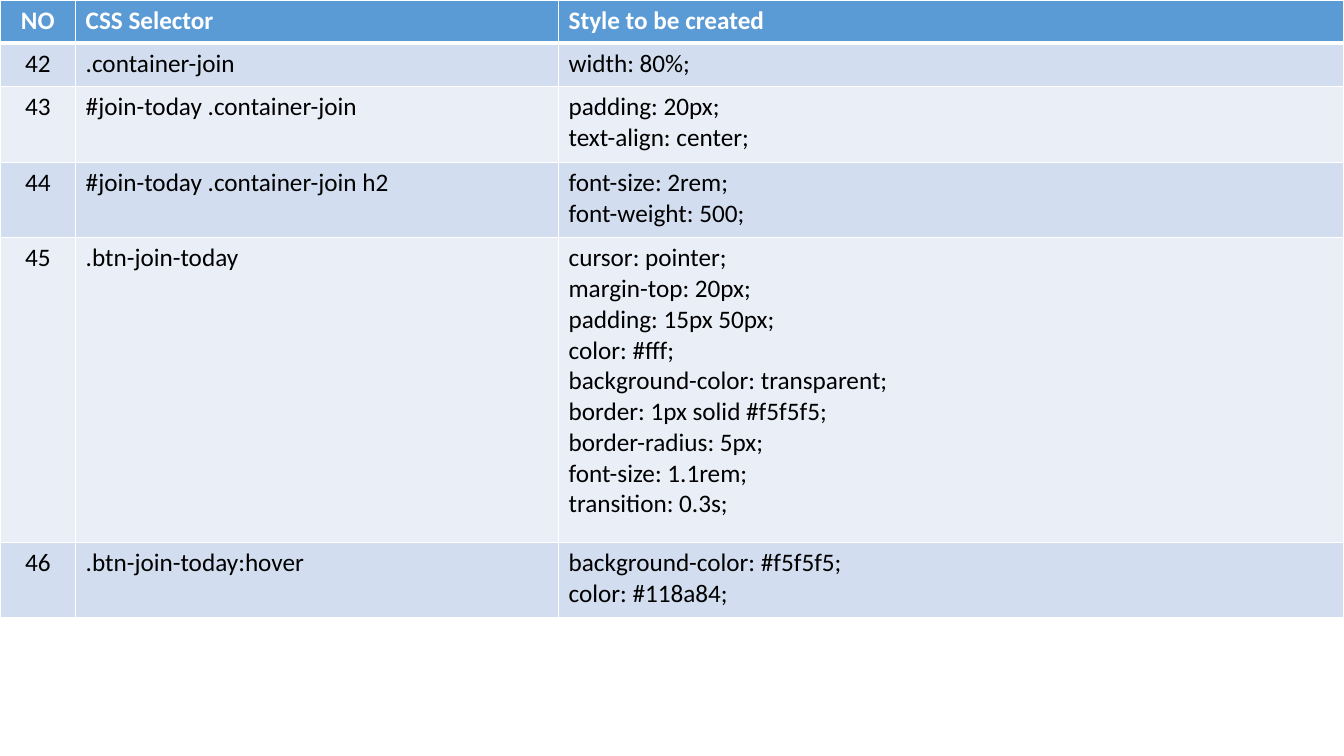
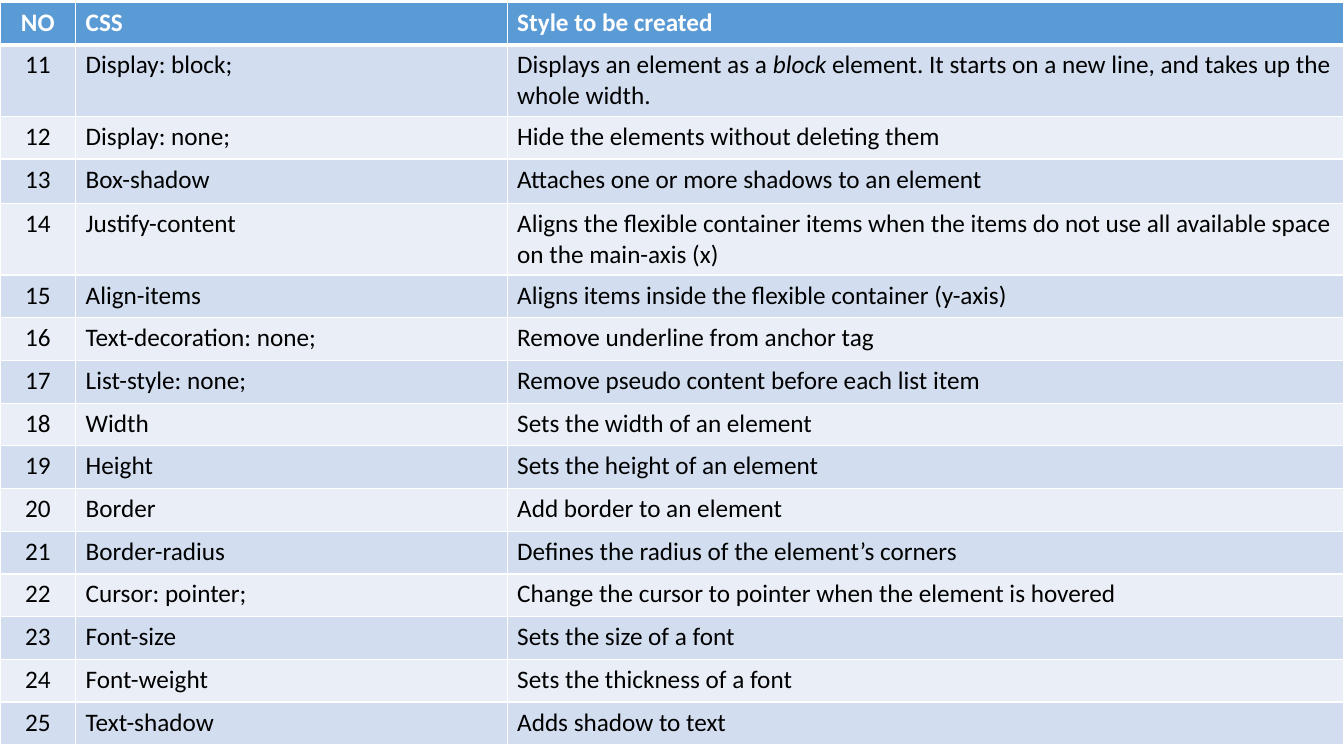
from dataclasses import dataclass

from lxml.etree import SubElement
from pptx import Presentation
from pptx.dml.color import RGBColor as RGB
from pptx.enum.text import PP_ALIGN as ALIGN
from pptx.oxml.ns import qn
from pptx.util import Inches, Pt

COLORS = {
    "header": "5B9BD5",
    "band_dark": "D2DEEF",
    "band_light": "EAEFF7",
    "rule": "FFFFFF",
    "header_text": "FFFFFF",
    "body_text": "000000",
}
FONT = "Calibri"
TEXT_SIZE = 18
THIN, THICK = 1, 3
SLIDE_W, SLIDE_H = 13.33, 7.5
NO_W = 0.75


@dataclass
class Row:
    name: str
    lines: list[str]
    height: float
    italic: str = ""


@dataclass
class Sheet:
    heading: str
    first_no: int
    top: float
    name_w: float
    header_h: float
    rows: list[Row]


LINE_H = 0.43
PAIR_H = 0.75
selectors = Sheet("CSS Selector", 42, 0, 4.79, LINE_H, [
    Row(".container-join", ["width: 80%;"], LINE_H),
    Row("#join-today .container-join", ["padding: 20px;", "text-align: center;"], PAIR_H),
    Row("#join-today .container-join h2", ["font-size: 2rem;", "font-weight: 500;"], PAIR_H),
    Row(".btn-join-today", [
        "cursor: pointer;",
        "margin-top: 20px;",
        "padding: 15px 50px;",
        "color: #fff;",
        "background-color: transparent;",
        "border: 1px solid #f5f5f5;",
        "border-radius: 5px;",
        "font-size: 1.1rem;",
        "transition: 0.3s;",
    ], 3.02),
    Row(".btn-join-today:hover", ["background-color: #f5f5f5;", "color: #118a84;"], PAIR_H),
])

WRAPPED_H = 0.71
SHADOW_H = 0.44
SINGLE_H = (7.37 - SHADOW_H - 2 * WRAPPED_H) / 13
properties = Sheet("CSS", 11, 0.02, 4.28, SINGLE_H, [
    Row("Display: block;", ["Displays an element as a block element. It starts on a new line, "
                            "and takes up the whole width."], WRAPPED_H, italic="block"),
    Row("Display: none;", ["Hide the elements without deleting them"], SINGLE_H),
    Row("Box-shadow", ["Attaches one or more shadows to an element"], SHADOW_H),
    Row("Justify-content", ["Aligns the flexible container items when the items do not use "
                            "all available space on the main-axis (x)"], WRAPPED_H),
    Row("Align-items", ["Aligns items inside the flexible container (y-axis)"], SINGLE_H),
    Row("Text-decoration: none;", ["Remove underline from anchor tag"], SINGLE_H),
    Row("List-style: none;", ["Remove pseudo content before each list item"], SINGLE_H),
    Row("Width", ["Sets the width of an element"], SINGLE_H),
    Row("Height", ["Sets the height of an element"], SINGLE_H),
    Row("Border", ["Add border to an element"], SINGLE_H),
    Row("Border-radius", ["Defines the radius of the element’s corners"], SINGLE_H),
    Row("Cursor: pointer;", ["Change the cursor to pointer when the element is hovered"], SINGLE_H),
    Row("Font-size", ["Sets the size of a font"], SINGLE_H),
    Row("Font-weight", ["Sets the thickness of a font"], SINGLE_H),
    Row("Text-shadow", ["Adds shadow to text"], SINGLE_H),
])


def set_borders(cell, top: int = THIN, bottom: int = THIN) -> None:
    tc_pr = cell._tc.get_or_add_tcPr()
    for side, width in (("L", THIN), ("R", THIN), ("T", top), ("B", bottom)):
        ln = SubElement(tc_pr, qn(f"a:ln{side}"), w=str(Pt(width)))
        fill = SubElement(ln, qn("a:solidFill"))
        SubElement(fill, qn("a:srgbClr"), val=COLORS["rule"])


def write_lines(tf, lines: list[str], *, color: str, bold: bool = False,
                align: ALIGN = ALIGN.LEFT, italic: str = "") -> None:
    for i, line in enumerate(lines):
        p = tf.add_paragraph() if i else tf.paragraphs[0]
        p.alignment = align
        before, match, after = line.partition(italic) if italic else (line, "", "")
        for text in filter(None, (before, match, after)):
            r = p.add_run()
            r.text = text
            r.font.name = FONT
            r.font.size = Pt(TEXT_SIZE)
            r.font.bold = bold
            r.font.italic = bool(match) and text == match
            r.font.color.rgb = RGB.from_string(COLORS[color])


def fill_row(cells, no: str, name: str, lines: list[str], *, fill: str, color: str,
             bold: bool = False, italic: str = "", top: int = THIN, bottom: int = THIN) -> None:
    for col, (cell, content) in enumerate(zip(cells, ([no], [name], lines))):
        set_borders(cell, top, bottom)
        cell.fill.solid()
        cell.fill.fore_color.rgb = RGB.from_string(COLORS[fill])
        write_lines(cell.text_frame, content, color=color, bold=bold, italic=italic if col == 2 else "",
                    align=ALIGN.LEFT if col else ALIGN.CENTER)


def add_sheet(prs, sheet: Sheet) -> None:
    s = prs.slides.add_slide(prs.slide_layouts[6])
    heights = [sheet.header_h] + [row.height for row in sheet.rows]
    widths = [NO_W, sheet.name_w, SLIDE_W - NO_W - sheet.name_w]
    table = s.shapes.add_table(len(heights), len(widths), Inches(0), Inches(sheet.top),
                               Inches(SLIDE_W), Inches(sum(heights))).table
    for column, width in zip(table.columns, widths):
        column.width = Inches(width)
    for table_row, height in zip(table.rows, heights):
        table_row.height = Inches(height)

    fill_row(table.rows[0].cells, "NO", sheet.heading, ["Style to be created"],
             fill="header", color="header_text", bold=True, bottom=THICK)
    for i, row in enumerate(sheet.rows):
        fill_row(table.rows[i + 1].cells, str(sheet.first_no + i), row.name, row.lines,
                 fill="band_light" if i % 2 else "band_dark", color="body_text",
                 italic=row.italic, top=THIN if i else THICK)


def main() -> None:
    prs = Presentation()
    prs.slide_width, prs.slide_height = Inches(SLIDE_W), Inches(SLIDE_H)
    for sheet in (selectors, properties):
        add_sheet(prs, sheet)
    prs.save("out.pptx")


if __name__ == "__main__":
    main()
